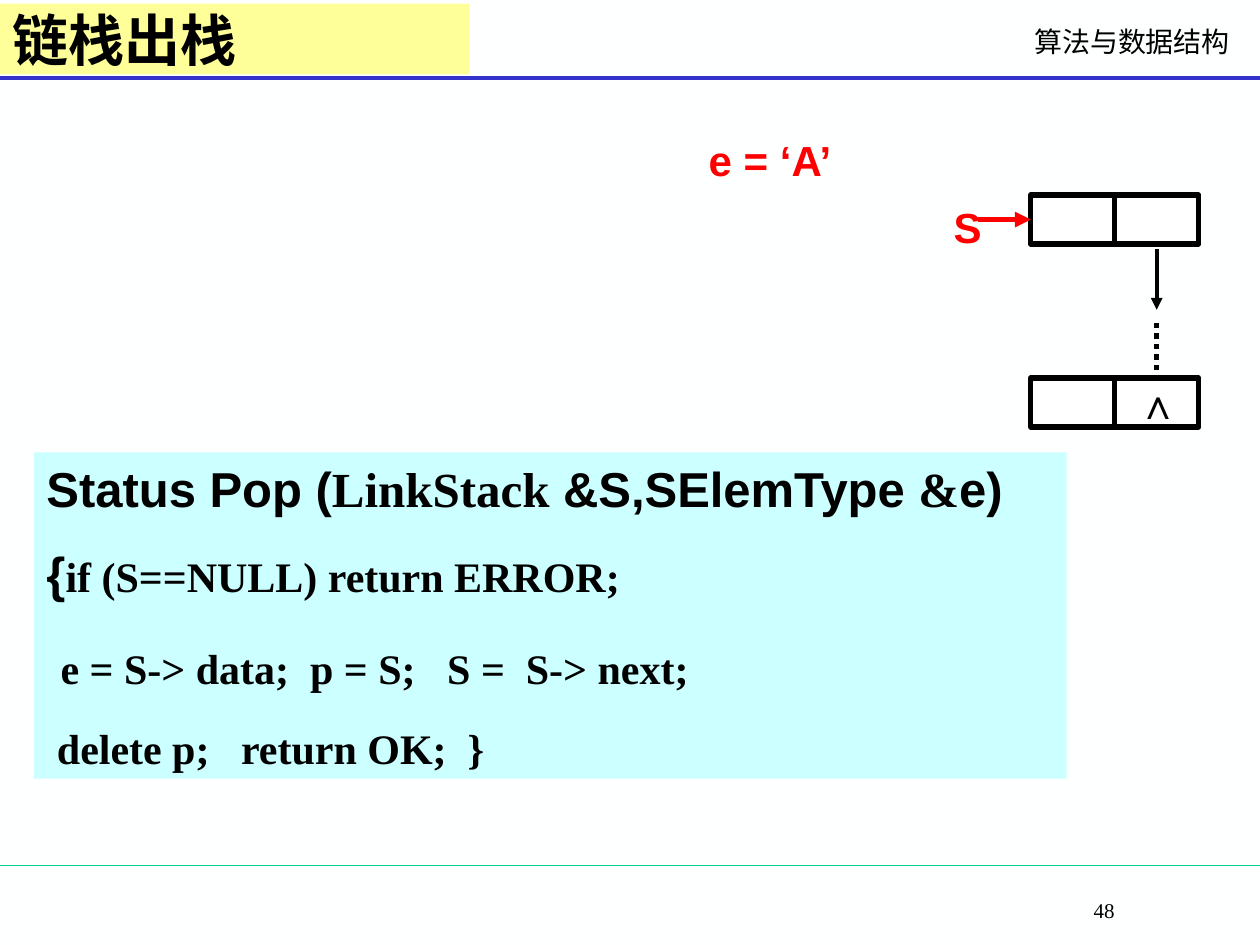
from lxml import etree
from pptx import Presentation
from pptx.dml.color import RGBColor
from pptx.enum import dml, shapes, text
from pptx.oxml import ns
from pptx.util import Pt

BACK = RGBColor(0xFE, 0xFF, 0xFF)
WHITE = RGBColor(0xFF, 0xFF, 0xFF)
BLACK = RGBColor(0, 0, 0)
RED = RGBColor(0xFF, 0, 0)
YELLOW = RGBColor(0xFF, 0xFF, 0x99)
CYAN = RGBColor(0xCC, 0xFF, 0xFF)
GREEN = RGBColor(0, 0xCC, 0x99)
BLUE = RGBColor(0x33, 0x33, 0xCC)
SANS, SERIF, CJK = "Arial", "Times New Roman", "Noto Sans CJK SC"
LEFT, CENTER = text.PP_ALIGN.LEFT, text.PP_ALIGN.CENTER


def add_run(p, words, size, font, color=BLACK, bold=True):
    r = p.add_run()
    r.text = words
    r.font.size, r.font.name, r.font.bold = Pt(size), font, bold
    r.font.color.rgb = color
    ea = etree.SubElement(r.font._element, ns.qn("a:ea"))
    ea.set("typeface", CJK)


def add_label(s, box, words, size, font=SANS, color=BLACK, bold=True, align=CENTER):
    tf = s.shapes.add_textbox(*map(Pt, box)).text_frame
    tf.word_wrap = True
    p = tf.paragraphs[0]
    p.alignment = align
    add_run(p, words, size, font, color, bold)


def add_rect(s, box, fill, line=None):
    sp = s.shapes.add_shape(shapes.MSO_SHAPE.RECTANGLE, *map(Pt, box))
    sp.shadow.inherit = False
    sp.fill.solid()
    sp.fill.fore_color.rgb = fill
    if line is None:
        sp.line.fill.background()
    else:
        sp.line.color.rgb = line
        sp.line.width = Pt(3)
    return sp


def add_line(s, x1, y1, x2, y2, color=BLACK, width=3, arrow=False):
    c = s.shapes.add_connector(shapes.MSO_CONNECTOR.STRAIGHT, *map(Pt, (x1, y1, x2, y2)))
    c.line.color.rgb = color
    c.line.width = Pt(width)
    if arrow:
        etree.SubElement(c.line._get_or_add_ln(), ns.qn("a:tailEnd"), type="triangle")
    etree.SubElement(c._element.spPr, ns.qn("a:effectLst"))
    return c


def add_header(s, x, y, w, h):
    sp = s.shapes.title
    sp.left, sp.top, sp.width, sp.height = Pt(x), Pt(y + 2), Pt(268), Pt(40.5)
    sp.fill.solid()
    sp.fill.fore_color.rgb = YELLOW
    tf = sp.text_frame
    tf.auto_size = text.MSO_AUTO_SIZE.NONE
    tf.vertical_anchor = text.MSO_ANCHOR.MIDDLE
    p = tf.paragraphs[0]
    p.alignment = LEFT
    add_run(p, "链栈出栈", 32, CJK)
    add_label(s, (x + w - 136, y + 10.5, 128, 27), "算法与数据结构", 16, SERIF, bold=False, align=LEFT)
    add_line(s, x, y + h, x + w, y + h, BLUE, 2.25)


def add_footer(s, x, y, w):
    add_line(s, x, y, x + w, y, GREEN, 0.75)
    add_label(s, (x + w - 137.5, y + 15, 97, 22), "48", 12, SERIF, bold=False)


def add_node(s, x, y, w, h):
    sp = add_rect(s, (x, y, w, h), WHITE, BLACK)
    c = add_line(s, x + w / 2, y, x + w / 2, y + h)
    c.begin_connect(sp, 0)
    c.end_connect(sp, 2)
    return sp


def add_stack(s, x, y, w, h):
    node_h = 28
    last = y + h - node_h
    link = x + w * 0.75
    top = add_node(s, x, y, w, node_h)
    add_node(s, x, last, w, node_h)
    add_line(s, link, y + 31, link, y + 65.5, width=2.25, arrow=True)
    dots = add_line(s, link, y + 73, link, last - 4)
    dots.line.dash_style = dml.MSO_LINE.ROUND_DOT
    add_label(s, (link - 18, last - 4, 36, 36), "∧", 24)
    add_label(s, (x - 54, y, 36, 36), "S", 24, color=RED)
    pointer = add_line(s, x - 30, y + node_h / 2, x, y + node_h / 2, RED, arrow=True)
    pointer.end_connect(top, 1)


def add_code(s, box):
    lines = [
        [("Status Pop (", 28, SANS), ("LinkStack", 28, SERIF),
         (" &S,SElemType ", 28, SANS), ("&", 28, SERIF), ("e)", 28, SANS)],
        [("{", 28, SANS), ("if (S==NULL) return ERROR;", 24, SERIF)],
        [(" ", 32, SERIF), ("e = S-> data;  p = S;   S =  S-> next;", 24, SERIF)],
        [(" delete p;   return OK;  }", 24, SERIF)],
    ]
    tf = add_rect(s, box, CYAN).text_frame
    tf.word_wrap = True
    tf.vertical_anchor = text.MSO_ANCHOR.TOP
    for i, runs in enumerate(lines):
        p = tf.add_paragraph() if i else tf.paragraphs[0]
        p.alignment = LEFT
        p.space_before = Pt(15 if i else 0)
        for run in runs:
            add_run(p, *run)


def main():
    prs = Presentation()
    prs.slide_width, prs.slide_height = Pt(720), Pt(540)
    s = prs.slides.add_slide(prs.slide_layouts[5])
    s.background.fill.solid()
    s.background.fill.fore_color.rgb = BACK
    add_header(s, 0, 0, 720, 44.5)
    add_footer(s, 0, 494.5, 720)
    add_code(s, (19.5, 258.5, 590, 186.5))
    add_stack(s, 589, 111.5, 96, 132.5)
    add_label(s, (377, 73.5, 126, 36), "e = ‘A’", 24, color=RED)
    prs.save("out.pptx")


if __name__ == "__main__":
    main()
